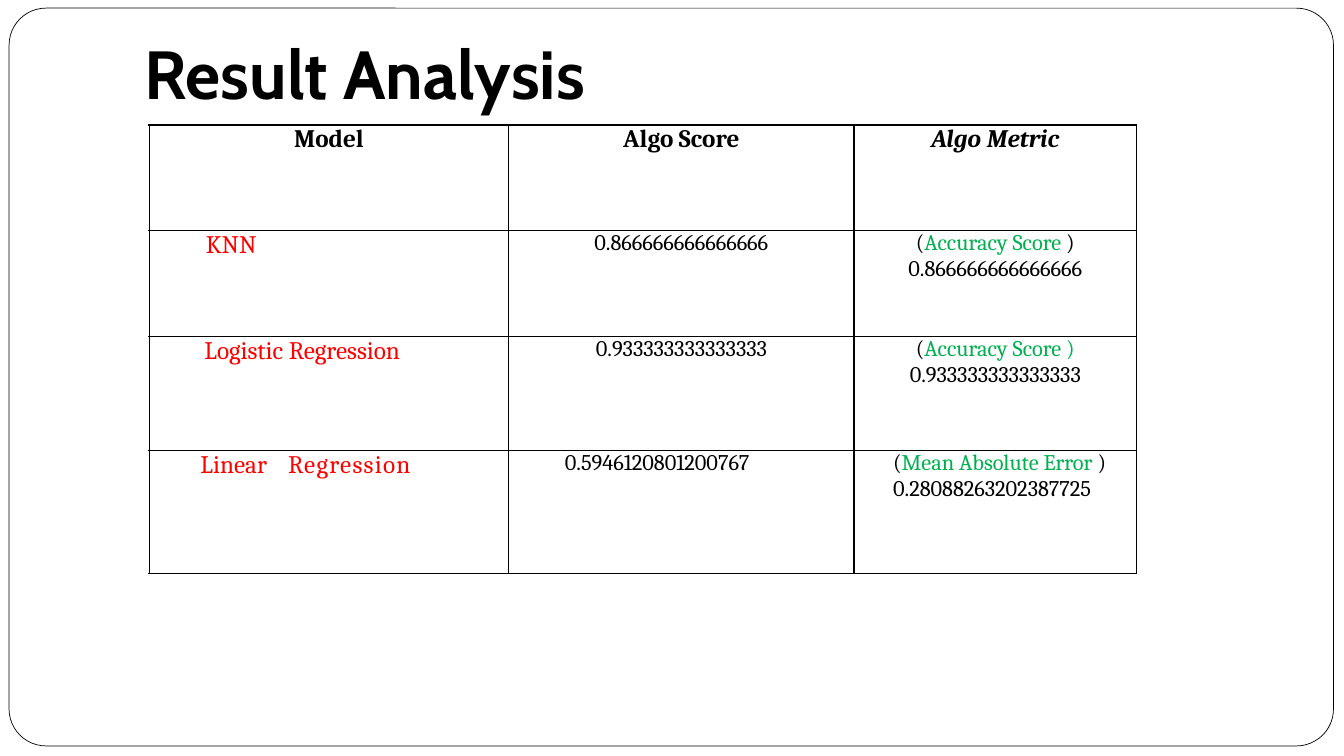
from lxml.etree import SubElement
from pptx import Presentation
from pptx.dml.color import RGBColor
from pptx.enum.shapes import MSO_SHAPE
from pptx.enum.text import MSO_ANCHOR, PP_ALIGN
from pptx.oxml.ns import qn
from pptx.util import Pt

THEME = {
    "black": "000000", "white": "FFFFFF", "red": "FF0000", "green": "00B050",
    "title_font": "Cabin", "table_font": "Cambria",
    "title_size": 48.6, "label_size": 18, "value_size": 16,
}

# Content: a run is (text, colour, letter spacing in points)
TITLE = "Result Analysis"
HEADERS = ["Model", "Algo Score", "Algo Metric"]


def metric(name, close, value):
    return [("(", "black", 0), (name, "green", 0), *close, (value, "black", 0)]


ROWS = [
    ([("KNN", "red", 0)],
     [("0.866666666666666", "black", 0)],
     metric("Accuracy Score ", [(") ", "black", 0)], "0.866666666666666")),
    ([("Logistic Regression", "red", 0)],
     [("0.933333333333333", "black", 0)],
     metric("Accuracy Score ) ", [], "0.933333333333333")),
    ([("Linear", "red", 0), (" ", "red", 11), ("Regression", "red", 0.9)],
     [("0.5946120801200767", "black", 0)],
     metric("Mean Absolute Error ", [(") ", "black", 0)], "0.28088263202387725")),
]

# Layout in points
SLIDE = (960, 540)
FRAME = (6.5, 5.8, 946, 527)
TITLE_BOX = (96, 21.6, 816, 66.2)
TABLE_AT = (106.5, 89.3)
COL_WIDTHS = [257, 246.5, 202]
ROW_HEIGHTS = [75.6, 75.6, 81.6, 87.4]
SIDE_INDENTS = [46, 40, 28]
MODEL_INDENTS = [40.5, 39.5, 36.7]
SPACE_BEFORE = 2.9


def color(name):
    return RGBColor.from_string(THEME[name])


def set_font(p, face, size, bold=False, italic=False):
    f = p.font
    f.name, f.size, f.bold, f.italic = THEME[face], Pt(THEME[size]), bold, italic
    f.color.rgb = color("black")


def add_borders(cell):
    tc_pr = cell._tc.get_or_add_tcPr()
    for side in ("lnL", "lnR", "lnT", "lnB"):
        ln = SubElement(tc_pr, qn(f"a:{side}"), w=str(Pt(1)))
        fill = SubElement(ln, qn("a:solidFill"))
        SubElement(fill, qn("a:srgbClr"), val=THEME["black"])


def fill_cell(cell, runs, size, left, right, align, bold=False, italic=False):
    add_borders(cell)
    cell.fill.background()
    cell.margin_left = cell.margin_right = cell.margin_top = cell.margin_bottom = 0
    p = cell.text_frame.paragraphs[0]
    p.alignment, p.space_before = align, Pt(SPACE_BEFORE)
    p_pr = p._p.get_or_add_pPr()
    p_pr.set("marL", str(Pt(left)))
    p_pr.set("marR", str(Pt(right)))
    p_pr.set("indent", "0")
    set_font(p, "table_font", size, bold, italic)
    for text, tint, spacing in runs:
        r = p.add_run()
        r.text = text
        r.font.color.rgb = color(tint)
        if spacing:
            r._r.get_or_add_rPr().set("spc", str(round(spacing * 100)))


prs = Presentation()
prs.slide_width, prs.slide_height = map(Pt, SLIDE)
s = prs.slides.add_slide(prs.slide_layouts[6])

# Rounded frame
frame = s.shapes.add_shape(MSO_SHAPE.ROUNDED_RECTANGLE, *map(Pt, FRAME))
frame.adjustments[0] = 0.05
frame.shadow.inherit = False
frame.fill.solid()
frame.fill.fore_color.rgb = color("white")
frame.line.color.rgb = color("black")
frame.line.width = Pt(0.5)

# Title
tf = s.shapes.add_textbox(*map(Pt, TITLE_BOX)).text_frame
tf.word_wrap = True
tf.vertical_anchor = MSO_ANCHOR.BOTTOM
tf.margin_bottom = Pt(7.2)
p = tf.paragraphs[0]
p.text = TITLE
set_font(p, "title_font", "title_size", bold=True)

# Results table
size = (sum(COL_WIDTHS), sum(ROW_HEIGHTS))
table = s.shapes.add_table(len(ROWS) + 1, len(HEADERS), *map(Pt, TABLE_AT + size)).table
table.first_row = table.horz_banding = False
for column, width in zip(table.columns, COL_WIDTHS):
    column.width = Pt(width)
for row, height in zip(table.rows, ROW_HEIGHTS):
    row.height = Pt(height)

for j, (header, side) in enumerate(zip(HEADERS, SIDE_INDENTS)):
    fill_cell(table.cell(0, j), [(header, "black", 0)], "label_size", side, side,
              PP_ALIGN.CENTER, bold=True, italic=header == "Algo Metric")

for i, (cells, model_indent) in enumerate(zip(ROWS, MODEL_INDENTS), 1):
    last = i == len(ROWS)
    for j, (runs, side) in enumerate(zip(cells, SIDE_INDENTS)):
        if j == 0:
            fill_cell(table.cell(i, j), runs, "label_size", model_indent, 0, PP_ALIGN.LEFT)
        elif last:
            fill_cell(table.cell(i, j), runs, "value_size", side, 0, PP_ALIGN.LEFT)
        else:
            fill_cell(table.cell(i, j), runs, "value_size", side, side, PP_ALIGN.CENTER)

prs.save("out.pptx")
